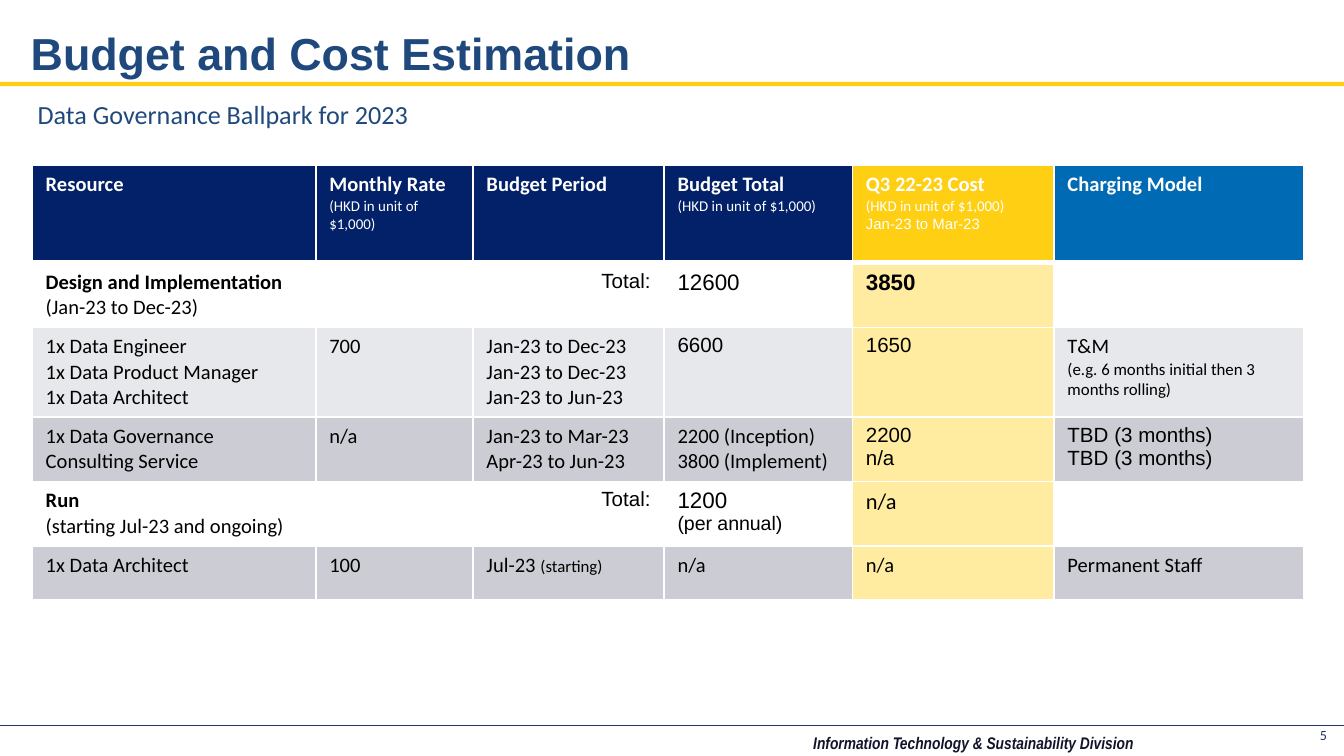
from dataclasses import dataclass
from typing import NamedTuple

from lxml.etree import SubElement as Sub
from pptx import Presentation as Deck
from pptx.dml.color import RGBColor as Rgb
from pptx.enum.shapes import MSO_CONNECTOR as Link, MSO_SHAPE as Form
from pptx.enum.text import MSO_ANCHOR as Anchor, PP_ALIGN as Align
from pptx.oxml.ns import qn
from pptx.util import Cm, Pt


@dataclass(frozen=True)
class Theme:
    sans: str = "Arial"
    body: str = "Calibri"
    slim: str = "Arial Narrow"
    white: str = "FFFFFF"
    black: str = "000000"
    title: str = "1F497D"
    rule: str = "20346D"
    foot: str = "121429"
    navy: str = "022169"
    gold: str = "FECF13"
    blue: str = "006AB4"
    cream: str = "FFECA1"
    pale: str = "E7E8EB"
    grey: str = "CCCDD4"
    head_size: float = 24
    sub_size: float = 14
    big: float = 12
    base: float = 11
    mid: float = 10.5
    note: float = 9
    small: float = 8
    page: float = 7.5


T = Theme()


class Run(NamedTuple):
    text: str
    size: float = T.base
    bold: bool = False
    font: str = T.body
    slant: bool = False


class Cell(NamedTuple):
    lines: tuple = ()
    align: Align = Align.LEFT


class Row(NamedTuple):
    high: float
    fill: str
    cells: list
    total: bool = False


class Label(NamedTuple):
    box: tuple
    run: Run
    color: str
    align: Align = Align.LEFT
    pad: tuple = (0.25, 0.13)


def cell(*lines) -> Cell:
    """Each line is a string, a run, or a tuple of runs."""
    return Cell(lines)


def sans(text: str, size: float = T.base, bold: bool = False) -> Run:
    return Run(text, size, bold, T.sans)


def bold(text: str) -> Run:
    return Run(text, bold=True)


def write(frame, lines: tuple, color: str, align: Align = Align.LEFT) -> None:
    for i, line in enumerate(lines):
        para = frame.paragraphs[0] if i == 0 else frame.add_paragraph()
        para.alignment = align
        if isinstance(line, str):
            line = Run(line)
        for part in (line,) if isinstance(line, Run) else line:
            run = para.add_run()
            run.text = part.text
            font = run.font
            font.name, font.size = part.font, Pt(part.size)
            font.bold, font.italic = part.bold, part.slant
            font.color.rgb = Rgb.from_string(color)


def pad(frame, side: float, top: float, base: float) -> None:
    frame.margin_left = frame.margin_right = Cm(side)
    frame.margin_top, frame.margin_bottom = Cm(top), Cm(base)
    frame.vertical_anchor = Anchor.TOP
    frame.word_wrap = True


def edge(tc, tag: str, width: float) -> None:
    props = tc.get_or_add_tcPr()
    line = Sub(props, qn(f"a:{tag}"), w=str(Pt(width)))
    Sub(Sub(line, qn("a:solidFill")), qn("a:srgbClr"), val=T.white)


def draw_label(slide, label: Label) -> None:
    frame = slide.shapes.add_textbox(*map(Cm, label.box)).text_frame
    side, top = label.pad
    pad(frame, side, top, top)
    write(frame, (label.run,), label.color, label.align)


def draw_title(slide, text: str) -> None:
    shape = slide.shapes.title
    shape.left, shape.top, shape.width, shape.height = map(Cm, (0.33, 0.23, 22.86, 1.07))
    pad(shape.text_frame, 0.25, 0.25, 0.13)
    write(shape.text_frame, (sans(text, T.head_size, True),), T.title)


def draw_rules(slide) -> None:
    bar = slide.shapes.add_shape(Form.RECTANGLE, 0, Cm(1.55), Cm(25.4), Cm(0.08))
    bar.shadow.inherit = False
    bar.fill.solid()
    bar.fill.fore_color.rgb = Rgb.from_string(T.gold)
    bar.line.fill.background()
    line = slide.shapes.add_connector(Link.STRAIGHT, 0, Cm(13.71), Cm(25.4), Cm(13.71))
    line.line.color.rgb = Rgb.from_string(T.rule)
    line.line.width = Pt(0.25)
    Sub(line._element.spPr, qn("a:effectLst"))


def draw_table(slide, rows: list[Row], wide: tuple, heads: tuple) -> None:
    """The first row takes its fills from heads; column 4 stays cream below it."""
    high = sum(row.high for row in rows)
    table = slide.shapes.add_table(
        len(rows), len(wide), Cm(0.61), Cm(3.12), Cm(sum(wide)), Cm(high)).table
    table.first_row = table.horz_banding = False
    for col, width in zip(table.columns, wide):
        col.width = Cm(width)
    for r, row in enumerate(rows):
        table.rows[r].height = Cm(row.high)
        for c, item in enumerate(row.cells):
            spot = table.cell(r, c)
            for tag in ("lnL", "lnR", "lnT", "lnB"):
                thick = (r, tag) in ((0, "lnB"), (1, "lnT"))
                edge(spot._tc, tag, 3 if thick else 1)
            fill = heads[c] if r == 0 else T.cream if c == 4 else row.fill
            spot.fill.solid()
            spot.fill.fore_color.rgb = Rgb.from_string(fill)
            ink = T.black if r else T.white
            write(spot.text_frame, item.lines, ink, item.align)
        if row.total:
            table.cell(r, 0).merge(table.cell(r, 1))


UNIT = Run("(HKD in unit of $1,000)", T.small)
TOTAL = Cell((sans("Total:"),), Align.RIGHT)
TBD = sans("TBD (3 months)")
WIDE = (5.36, 2.97, 3.61, 3.56, 3.81, 4.72)
HEADS = (T.navy,) * 4 + (T.gold, T.blue)
ROWS = [
    Row(1.85, T.navy, [
        cell(bold("Resource")),
        cell(bold("Monthly Rate"), UNIT),
        cell(bold("Budget Period")),
        cell(bold("Budget Total"), UNIT),
        cell(bold("Q3 22-23 Cost"), UNIT, sans("Jan-23 to Mar-23", T.small)),
        cell(bold("Charging Model"))]),
    Row(1.22, T.white, [
        cell(bold("Design and Implementation"), "(Jan-23 to Dec-23)"), Cell(), TOTAL,
        cell(sans("12600", T.big)), cell(sans("3850", T.big, True)), Cell()], True),
    Row(1.69, T.pale, [
        cell("1x Data Engineer", "1x Data Product Manager", "1x Data Architect"),
        cell("700"),
        cell("Jan-23 to Dec-23", "Jan-23 to Dec-23", "Jan-23 to Jun-23"),
        cell(sans("6600")), cell(sans("1650")),
        cell("T&M", Run("(e.g. 6 months initial then 3 months rolling)", T.note))]),
    Row(1.22, T.grey, [
        cell("1x Data Governance Consulting Service"), cell("n/a"),
        cell("Jan-23 to Mar-23", "Apr-23 to Jun-23"),
        cell("2200 (Inception)", "3800 (Implement)"),
        cell(sans("2200"), sans("n/a")), cell(TBD, TBD)]),
    Row(1.22, T.white, [
        cell(bold("Run"), "(starting Jul-23 and ongoing)"), Cell(), TOTAL,
        cell(sans("1200", T.big), sans("(per annual)", T.mid)),
        cell(Run("n/a", T.big)), Cell()], True),
    Row(1.02, T.grey, [
        cell("1x Data Architect"), cell("100"),
        cell((Run("Jul-23 "), Run("(starting)", T.note))),
        cell("n/a"), cell("n/a"), cell("Permanent Staff")]),
]
LABELS = [
    Label((15.19, 13.77, 8.81, 0.56),
          Run("Information Technology & Sustainability Division", T.note, True, T.slim, True),
          T.foot, pad=(0.18, 0.08)),
    Label((23.93, 13.61, 1.4, 0.61), Run("5", T.page), T.rule, Align.RIGHT),
    Label((0.46, 1.73, 7.7, 0.86),
          Run("Data Governance Ballpark for 2023", T.sub_size), T.title),
]


def main() -> None:
    deck = Deck()
    deck.slide_width, deck.slide_height = Cm(25.4), Cm(14.29)
    slide = deck.slides.add_slide(deck.slide_layouts[5])
    draw_rules(slide)
    draw_title(slide, "Budget and Cost Estimation")
    draw_table(slide, ROWS, WIDE, HEADS)
    for label in LABELS:
        draw_label(slide, label)
    deck.save("out.pptx")


if __name__ == "__main__":
    main()
